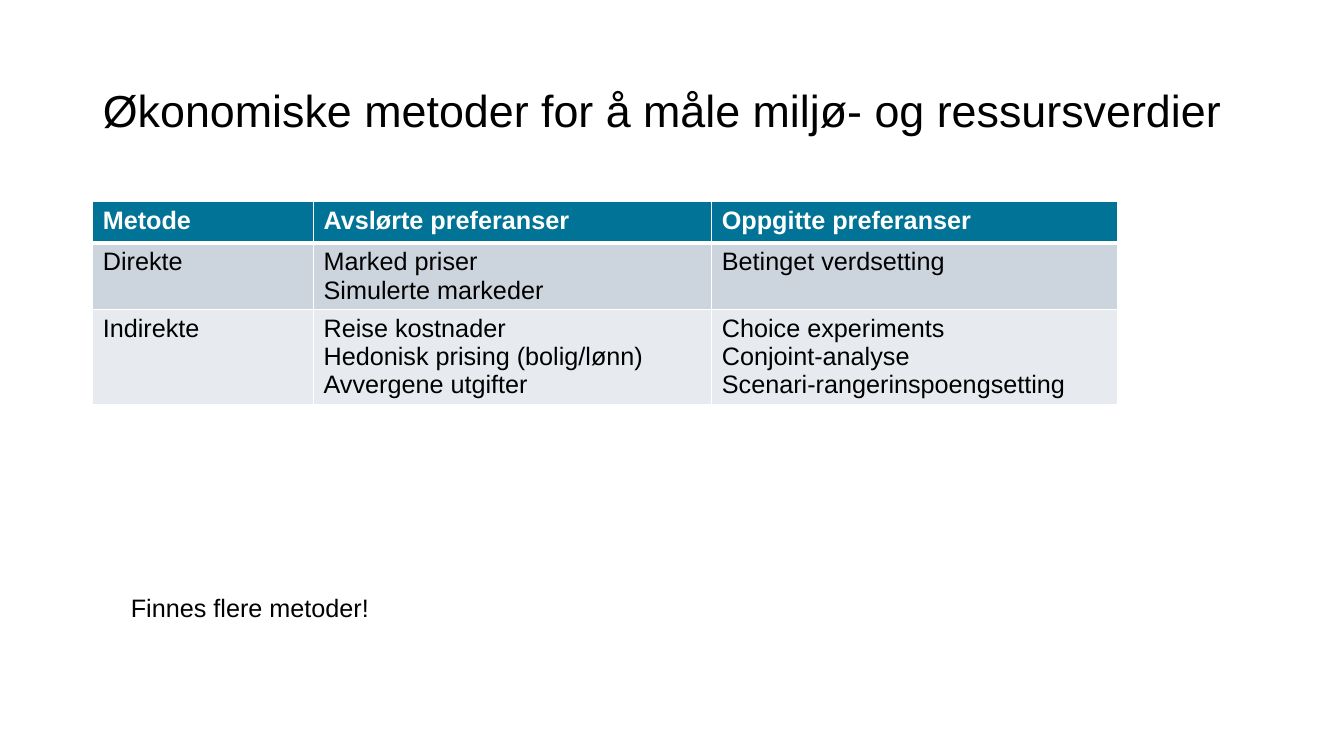
"""Builds a slide on methods for valuing the environment and resources."""
from dataclasses import dataclass

from lxml import etree
from pptx import Presentation
from pptx import util as u
from pptx.dml.color import RGBColor
from pptx.enum import text
from pptx.oxml import ns

HUES = {"ink": "000000", "paper": "FFFFFF", "head": "007396",
        "dark": "CCD5DD", "light": "E7EBEF"}
FACE = "Arial"


@dataclass
class Row:
    cells: tuple[str, ...]
    fill: str
    ink: str = "ink"
    bold: bool = False
    rule: float = 1


ROWS = [
    Row(("Metode", "Avslørte preferanser", "Oppgitte preferanser"),
        "head", "paper", True, 3),
    Row(("Direkte", "Marked priser\nSimulerte markeder",
         "Betinget verdsetting"), "dark"),
    Row(("Indirekte",
         "Reise kostnader\nHedonisk prising (bolig/lønn)\nAvvergene utgifter",
         "Choice experiments\nConjoint-analyse\nScenari-rangerinspoengsetting"),
        "light"),
]
COLS = (2.19, 3.95, 4.02)
ROW_H = 0.41


def color(name: str) -> RGBColor:
    return RGBColor.from_string(HUES[name])


def write(frame, words: str, size: float, ink: str = "ink",
          bold: bool = False) -> None:
    frame.text = words
    for para in frame.paragraphs:
        para.alignment = text.PP_ALIGN.LEFT
        for run in para.runs:
            font = run.font
            font.name, font.size, font.bold = FACE, u.Pt(size), bold
            font.color.rgb = color(ink)


def edge(cell, top: float, base: float) -> None:
    props = cell._tc.get_or_add_tcPr()
    sides = {"lnL": 1, "lnR": 1, "lnT": top, "lnB": base}
    for spot, (side, width) in enumerate(sides.items()):
        line = etree.Element(ns.qn(f"a:{side}"), w=str(u.Pt(width)))
        fill = etree.SubElement(line, ns.qn("a:solidFill"))
        etree.SubElement(fill, ns.qn("a:srgbClr"), val=HUES["paper"])
        props.insert(spot, line)


def draw_table(slide, rows: list[Row]) -> None:
    grid = slide.shapes.add_table(
        len(rows), len(COLS), u.Inches(0.92), u.Inches(2),
        u.Inches(sum(COLS)), u.Inches(ROW_H * len(rows))).table
    for col, width in zip(grid.columns, COLS):
        col.width = u.Inches(width)
    top = 1
    for line, row in zip(grid.rows, rows):
        line.height = u.Inches(ROW_H)
        for cell, words in zip(line.cells, row.cells):
            write(cell.text_frame, words, 18, row.ink, row.bold)
            cell.fill.solid()
            cell.fill.fore_color.rgb = color(row.fill)
            edge(cell, top, row.rule)
        top = row.rule


def main() -> None:
    deck = Presentation()
    deck.slide_width, deck.slide_height = u.Inches(13.33), u.Inches(7.5)
    slide = deck.slides.add_slide(deck.slide_layouts[5])

    title = slide.shapes.title
    title.left, title.top = u.Inches(0.92), u.Inches(0.4)
    title.width, title.height = u.Inches(11.5), u.Inches(1.45)
    write(title.text_frame, "Økonomiske metoder for å måle miljø- og ressursverdier", 32)
    title.text_frame.vertical_anchor = text.MSO_ANCHOR.MIDDLE
    title.text_frame.paragraphs[0].line_spacing = 0.9

    draw_table(slide, ROWS)

    note = slide.shapes.add_textbox(
        u.Inches(1.2), u.Inches(5.83), u.Inches(2.83), u.Inches(0.4))
    write(note.text_frame, "Finnes flere metoder!", 18)
    note.text_frame.word_wrap = True
    note.text_frame.auto_size = text.MSO_AUTO_SIZE.SHAPE_TO_FIT_TEXT

    deck.save("out.pptx")


if __name__ == "__main__":
    main()
